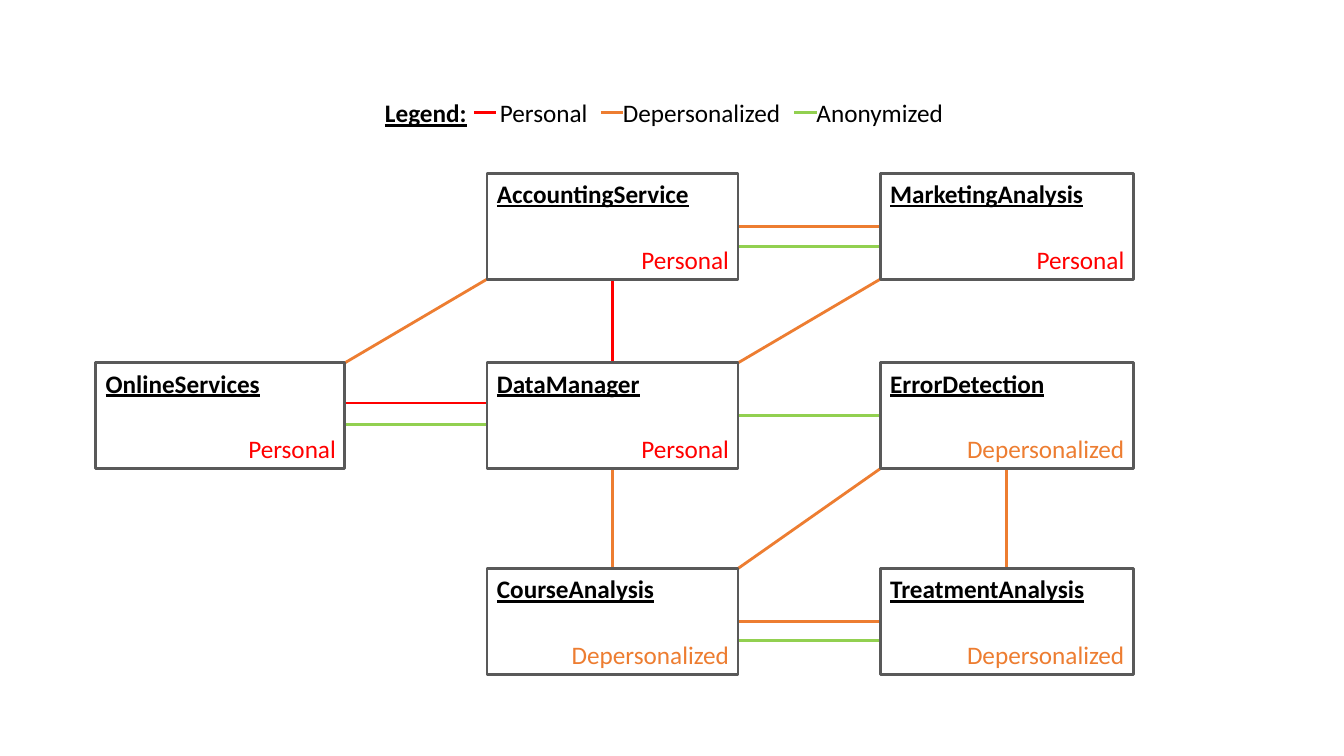
import pptx
import pptx.util
import pptx.dml.color
import pptx.enum.shapes
import pptx.enum.text
import pptx.oxml.ns
import lxml.etree

PX = 9144
RED = pptx.dml.color.RGBColor(0xFF, 0x00, 0x00)
ORANGE = pptx.dml.color.RGBColor(0xED, 0x7D, 0x31)
GREEN = pptx.dml.color.RGBColor(0x92, 0xD0, 0x50)
GRAY = pptx.dml.color.RGBColor(0x59, 0x59, 0x59)
BLACK = pptx.dml.color.RGBColor(0x00, 0x00, 0x00)
LINE_WIDTH = pptx.util.Pt(2)
LABEL_HEIGHT = 40
SERVICE_HEIGHT = 105
TAG_OFFSET = 65

COLUMNS = [(0, 247), (388, 249), (778, 251)]
ROWS = [0, 188, 392]
SERVICES = [
    ("OnlineServices", 0, 1, "Personal", RED),
    ("DataManager", 1, 1, "Personal", RED),
    ("AccountingService", 1, 0, "Personal", RED),
    ("MarketingAnalysis", 2, 0, "Personal", RED),
    ("TreatmentAnalysis", 2, 2, "Depersonalized", ORANGE),
    ("CourseAnalysis", 1, 2, "Depersonalized", ORANGE),
    ("ErrorDetection", 2, 1, "Depersonalized", ORANGE),
]
FLOWS = [
    ("CourseAnalysis", (1, 0), "ErrorDetection", (0, 1), ORANGE),
    ("OnlineServices", (1, 0.58), "DataManager", (0, 0.58), GREEN),
    ("AccountingService", (1, 0.69), "MarketingAnalysis", (0, 0.69), GREEN),
    ("TreatmentAnalysis", (0.5, 0), "ErrorDetection", (0.5, 1), ORANGE),
    ("CourseAnalysis", (1, 0.5), "TreatmentAnalysis", (0, 0.5), ORANGE),
    ("CourseAnalysis", (1, 0.68), "TreatmentAnalysis", (0, 0.68), GREEN),
    ("OnlineServices", (1, 0), "AccountingService", (0, 1), ORANGE),
    ("DataManager", (1, 0), "MarketingAnalysis", (0, 1), ORANGE),
    ("AccountingService", (1, 0.5), "MarketingAnalysis", (0, 0.5), ORANGE),
    ("OnlineServices", (1, 0.38), "DataManager", (0, 0.38), RED),
    ("AccountingService", (0.5, 1), "DataManager", (0.5, 0), RED),
    ("CourseAnalysis", (0.5, 0), "DataManager", (0.5, 1), ORANGE),
    ("DataManager", (1, 0.5), "ErrorDetection", (0, 0.5), GREEN),
]


def px(*lengths):
    return [round(length * PX) for length in lengths]


def add_line(slide, start, end, color):
    line = slide.shapes.add_connector(
        pptx.enum.shapes.MSO_CONNECTOR.STRAIGHT, *px(*start, *end))
    line.line.color.rgb = color
    line.line.width = LINE_WIDTH
    lxml.etree.SubElement(line._element.spPr, pptx.oxml.ns.qn("a:effectLst"))


def add_label(slide, left, top, width, text, color=BLACK, heading=False,
              align=pptx.enum.text.PP_ALIGN.LEFT, tabs=()):
    label = slide.shapes.add_textbox(*px(left, top, width, LABEL_HEIGHT))
    frame = label.text_frame
    frame.word_wrap = True
    frame.auto_size = pptx.enum.text.MSO_AUTO_SIZE.SHAPE_TO_FIT_TEXT
    frame.text = text
    paragraph = frame.paragraphs[0]
    paragraph.alignment = align
    if tabs:
        stops = lxml.etree.SubElement(
            paragraph._p.get_or_add_pPr(), pptx.oxml.ns.qn("a:tabLst"))
        for position in px(*tabs):
            lxml.etree.SubElement(stops, pptx.oxml.ns.qn("a:tab"),
                                  pos=str(position), algn="l")
    font = paragraph.runs[0].font
    font.name = "Calibri"
    font.size = pptx.util.Pt(18)
    font.color.rgb = color
    if heading:
        font.bold = True
        font.underline = True


def draw_legend(slide, left, top):
    add_label(slide, left, top, 104, "Legend:", heading=True)
    add_label(slide, left + 114, top, 474,
              "Personal\tDepersonalized\tAnonymized", tabs=(122, 314))
    for offset, color in [(98, RED), (224, ORANGE), (416, GREEN)]:
        add_line(slide, (left + offset, top + 20),
                 (left + offset + 22, top + 20), color)


def draw_service(slide, box, name, level, color):
    left, top, width, height = box
    frame = slide.shapes.add_shape(
        pptx.enum.shapes.MSO_SHAPE.RECTANGLE, *px(*box))
    frame.shadow.inherit = False
    frame.fill.background()
    frame.line.color.rgb = GRAY
    frame.line.width = LINE_WIDTH
    add_label(slide, left, top, width, name, heading=True)
    add_label(slide, left, top + TAG_OFFSET, width + 1, level, color,
              align=pptx.enum.text.PP_ALIGN.RIGHT)


def draw_diagram(slide, left, top):
    boxes = {}
    for name, column, row, level, color in SERVICES:
        offset, width = COLUMNS[column]
        boxes[name] = (left + offset, top + ROWS[row], width, SERVICE_HEIGHT)

    def anchor(name, fractions):
        x, y, width, height = boxes[name]
        return x + width * fractions[0], y + height * fractions[1]

    for source, exit_point, target, entry_point, color in FLOWS:
        add_line(slide, anchor(source, exit_point),
                 anchor(target, entry_point), color)
    for name, column, row, level, color in SERVICES:
        draw_service(slide, boxes[name], name, level, color)


def main():
    presentation = pptx.Presentation()
    presentation.slide_width, presentation.slide_height = px(1333, 750)
    slide = presentation.slides.add_slide(presentation.slide_layouts[6])
    draw_legend(slide, 372, 92)
    draw_diagram(slide, 95, 172)
    presentation.save("out.pptx")


if __name__ == "__main__":
    main()
